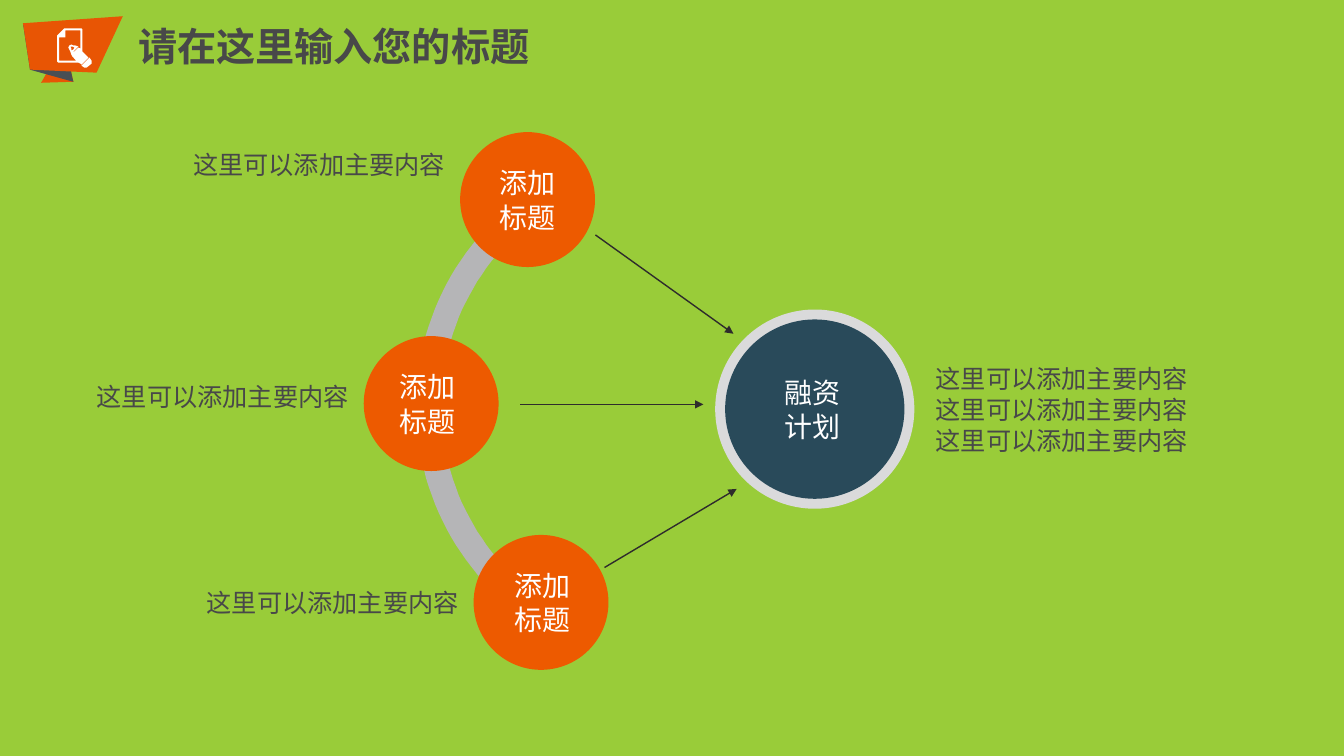
from dataclasses import dataclass
from math import cos, radians, sin

from lxml import etree
from pptx import Presentation
from pptx import util as u
from pptx.dml.color import RGBColor
from pptx.enum import shapes, text
from pptx.oxml import ns

Cm = u.Cm
ALIGN = text.PP_ALIGN


@dataclass(frozen=True)
class Theme:
    """Colours, type sizes and font of the slide."""
    back: str = "99CC39"
    badge: str = "E85504"
    fold: str = "494F54"
    node: str = "ED5A00"
    plan: str = "294A5A"
    rim: str = "DADADB"
    arc: str = "B5B5B7"
    arrow: str = "2E2C2C"
    ink: str = "484849"
    white: str = "FFFFFF"
    font: str = "Noto Sans CJK SC"
    title: int = 28
    label: int = 20
    body: int = 18


T = Theme()
BODY = "这里可以添加主要内容"


def paint(shape, color):
    """Give a shape a flat fill with no line or shadow."""
    shape.shadow.inherit = False
    shape.fill.solid()
    shape.fill.fore_color.rgb = RGBColor.from_string(color)
    shape.line.fill.background()


def trace(page, left, top, scale, color, *loops):
    """Draw closed outlines as one shape, measured from left and top."""
    pen = page.shapes.build_freeform(*loops[0][0], scale=scale)
    for i, loop in enumerate(loops):
        if i:
            pen.move_to(*loop[0])
        pen.add_line_segments(loop[1:], close=True)
    paint(pen.convert_to_shape(Cm(left), Cm(top)), color)


def disc(page, left, top, size, color):
    """Draw a flat circle in a square box."""
    oval = shapes.MSO_SHAPE.OVAL
    paint(page.shapes.add_shape(oval, Cm(left), Cm(top), Cm(size), Cm(size)), color)


def write(page, box, words, size, color, align=ALIGN.LEFT, bold=False):
    """Set words in a box, centred on its height."""
    frame = page.shapes.add_textbox(*map(Cm, box)).text_frame
    frame.word_wrap = True
    frame.vertical_anchor = text.MSO_ANCHOR.MIDDLE
    frame.text = words
    for para in frame.paragraphs:
        para.alignment = align
        para.line_spacing = u.Pt(round(size * 1.22, 1))
        for run in para.runs:
            font = run.font
            font.name, font.size, font.bold = T.font, u.Pt(size), bold
            font.color.rgb = RGBColor.from_string(color)
            east = etree.SubElement(run._r.get_or_add_rPr(), ns.qn("a:ea"))
            east.set("typeface", T.font)


def arrow(page, left, top, wide, high):
    """Draw an arrow from left and top across the given span."""
    line = page.shapes.add_connector(
        shapes.MSO_CONNECTOR.STRAIGHT,
        Cm(left), Cm(top), Cm(left + wide), Cm(top + high))
    line.line.width = u.Pt(1)
    line.line.color.rgb = RGBColor.from_string(T.arrow)
    head = etree.SubElement(line.line._get_or_add_ln(), ns.qn("a:tailEnd"))
    head.set("type", "triangle")
    etree.SubElement(line._element.spPr, ns.qn("a:effectLst"))


def header(page, left, top):
    """Place the folded badge, its page and pencil icon, and the title."""
    tail = [(50, 65), (41, 25), (18, 66)]
    fold = [(41, 25), (0, 7), (7, 53), (50, 65)]
    face = [(99, 0), (0, 7), (7, 53), (73, 56)]
    end = [(68, 47), (63, 51), (61, 51), (58, 49), (66, 41), (68, 44)]
    sheet = [(59, 47), (58, 48), (57, 47), (55, 46), (35, 46), (34, 45), (34, 19),
             (41, 12), (58, 12), (59, 13), (59, 35), (64, 40), (65, 41)]
    inner = [(57, 14), (42, 14), (42, 21), (36, 21), (36, 44), (53, 44),
             (49, 40), (48, 38), (49, 37), (54, 32), (55, 31), (57, 32)]
    tip = [(51, 34), (48, 38), (47, 35), (46, 33), (45, 31), (46, 29),
           (48, 28), (50, 29), (52, 29), (55, 30), (53, 32)]
    notch = [(49, 30), (47, 30), (48, 32), (48, 34), (50, 33), (51, 31)]
    parts = [(T.badge, tail), (T.fold, fold), (T.badge, face),
             (T.white, end, sheet, inner, tip, notch)]
    for color, *loops in parts:
        trace(page, left, top, u.Inches(1) / 100, color, *loops)
    write(page, (left + 2.65, top, 14, 1.45), "请在这里输入您的标题",
          T.title, T.ink, bold=True)


def ring(page, left, top, high):
    """Draw the 120 degree band that opens to the right."""
    outer = high / 2 / sin(radians(60))
    inner = outer - 0.64

    def bend(radius, turns):
        return [(100 * (outer - radius * cos(radians(a))),
                 100 * (high / 2 + radius * sin(radians(a)))) for a in turns]

    sweep = range(-60, 61, 2)
    band = bend(outer, sweep) + bend(inner, reversed(sweep))
    trace(page, left, top, Cm(1) / 100, T.arc, band)


def node(page, left, top, size, shift, lift, start, span):
    """Place a titled circle, the note on its left and its arrow."""
    disc(page, left, top, size, T.node)
    write(page, (left + shift, top, size, size), "添加\n标题",
          T.label, T.white, ALIGN.CENTER)
    write(page, (left - 7.73, top + size / 2 - 0.5 + lift, 7.6, 1), BODY,
          T.body, T.ink, ALIGN.RIGHT)
    arrow(page, left + start[0], top + start[1], *span)


def plan(page, left, top, size):
    """Place the rimmed goal circle and the notes on its right."""
    rim, wide = 0.25, 2.16
    disc(page, left, top, size, T.rim)
    disc(page, left + rim, top + rim, size - 2 * rim, T.plan)
    write(page, (left + (size - wide) / 2 - 0.06, top, wide, size), "融资计划",
          T.label, T.white, ALIGN.CENTER)
    write(page, (left + size + 0.29, top, 7.54, size), "\n".join([BODY] * 3),
          T.body, T.ink)


def main():
    """Build and save the slide."""
    deck = Presentation()
    deck.slide_width, deck.slide_height = Cm(33.88), Cm(19.05)
    page = deck.slides.add_slide(deck.slide_layouts[6])
    page.background.fill.solid()
    page.background.fill.fore_color.rgb = RGBColor.from_string(T.back)
    header(page, 0.58, 0.41)
    ring(page, 10.49, 4.54, 11.4)
    nodes = [
        (11.6, 3.33, 3.4, 0, -0.89, (3.41, 2.59), (3.48, 2.49)),
        (9.17, 8.47, 3.4, -0.08, -0.19, (3.94, 1.72), (4.62, 0)),
        (11.94, 13.48, 3.4, 0.03, 0, (3.3, 0.82), (3.33, -1.98)),
    ]
    for item in nodes:
        node(page, *item)
    plan(page, 18.03, 7.8, 5.02)
    deck.save("out.pptx")


main()
